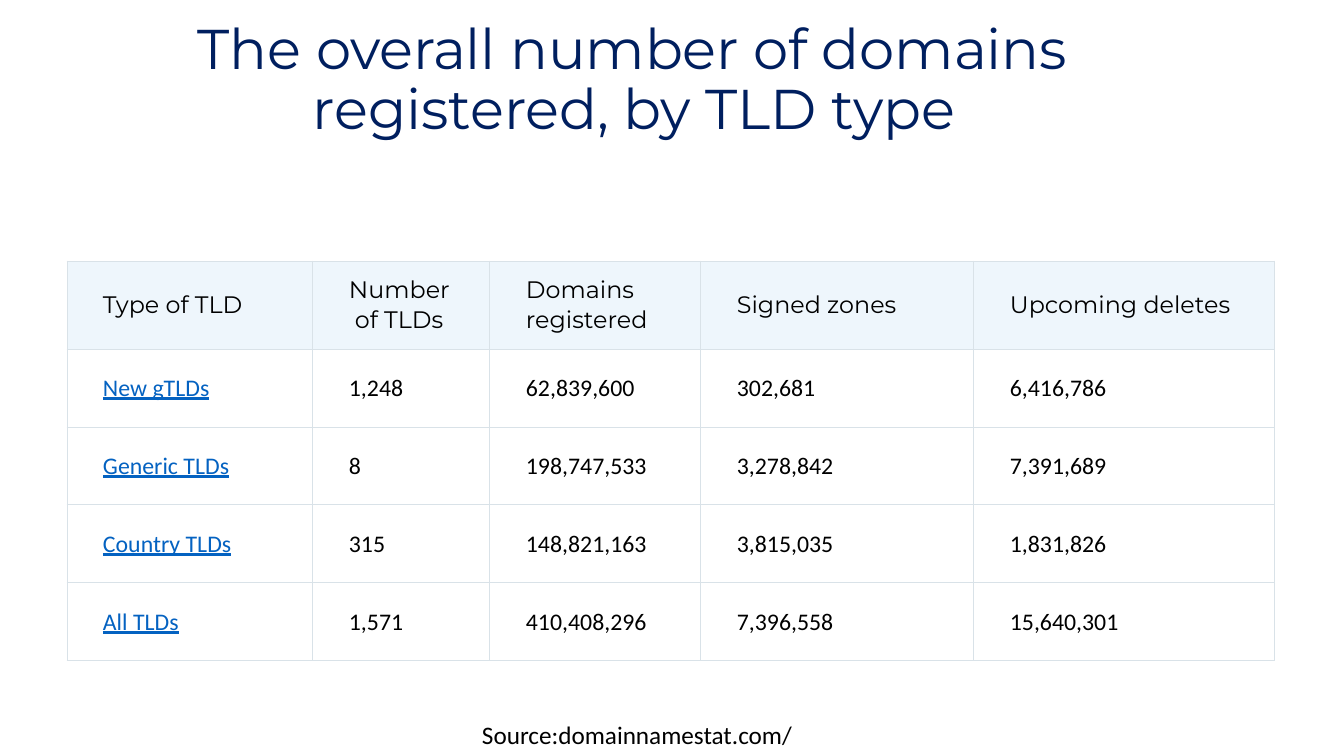
from lxml.etree import SubElement
from pptx import Presentation
from pptx.dml.color import RGBColor
from pptx.enum.text import MSO_ANCHOR
from pptx.oxml import parse_xml
from pptx.oxml.ns import nsdecls, qn
from pptx.util import Pt

EMU_PER_PX = 914400 / 100.8
NAVY = RGBColor(0x00, 0x1F, 0x5F)
BLACK = RGBColor(0x00, 0x00, 0x00)
WHITE = RGBColor(0xFF, 0xFF, 0xFF)
LINK_BLUE = RGBColor(0x04, 0x62, 0xC1)
HEADER_FILL = RGBColor(0xEE, 0xF6, 0xFC)
GRID = RGBColor(0xD9, 0xE2, 0xE8)
HEADING_FONT = "Montserrat"
BODY_FONT = "Calibri"

HEADINGS = ["Type of TLD", "Number\vof TLDs", "Domains\vregistered",
            "Signed zones", "Upcoming deletes"]
TLD_ROWS = [
    ["New gTLDs", "1,248", "62,839,600", "302,681", "6,416,786"],
    ["Generic TLDs", "8", "198,747,533", "3,278,842", "7,391,689"],
    ["Country TLDs", "315", "148,821,163", "3,815,035", "1,831,826"],
    ["All TLDs", "1,571", "410,408,296", "7,396,558", "15,640,301"],
]
COLUMN_WIDTHS = [246, 177, 211, 273, 301]
HEADER_HEIGHT, ROW_HEIGHT = 88, 78
CELL_INDENT = 36


def px(length):
    return round(length * EMU_PER_PX)


def write(frame, text, *, size, font=BODY_FONT, color=BLACK, underline=False,
          left=0, hanging=0, line_pt=None, spacing=0):
    """Fill a text frame; left and hanging are the indents in px."""
    paragraph = frame.paragraphs[0]
    paragraph.text = text
    properties = paragraph._p.get_or_add_pPr()
    properties.set("marL", str(px(left + hanging)))
    properties.set("indent", str(px(-hanging)))
    if line_pt:
        paragraph.line_spacing = Pt(line_pt)
    for run in paragraph.runs:
        run.font.size = Pt(size)
        run.font.name = font
        run.font.color.rgb = color
        run.font.underline = underline
        if spacing:
            run.font._element.set("spc", str(spacing))


class DomainSlide:
    def __init__(self, presentation):
        self.slide = presentation.slides.add_slide(presentation.slide_layouts[6])

    def text(self, text, x, y, width, height, inset_top=0, **style):
        box = self.slide.shapes.add_textbox(px(x), px(y), px(width), px(height))
        frame = box.text_frame
        frame.word_wrap = True
        frame.margin_left = frame.margin_right = frame.margin_bottom = 0
        frame.margin_top = px(inset_top)
        write(frame, text, **style)

    def table(self, x, y, widths, heights):
        table = self.slide.shapes.add_table(
            len(heights), len(widths), px(x), px(y),
            px(sum(widths)), px(sum(heights))).table
        table.horz_banding = False
        for column, width in zip(table.columns, widths):
            column.width = px(width)
        for row, height in zip(table.rows, heights):
            row.height = px(height)
        return table

    def cell(self, cell, text, fill, **style):
        cell.margin_left = cell.margin_right = 0
        cell.margin_top = cell.margin_bottom = 0
        cell.vertical_anchor = MSO_ANCHOR.MIDDLE
        cell.fill.solid()
        cell.fill.fore_color.rgb = fill
        self.borders(cell)
        write(cell.text_frame, text, size=17, left=CELL_INDENT, **style)

    def borders(self, cell):
        properties = cell._tc.get_or_add_tcPr()
        for position, side in enumerate(("lnL", "lnR", "lnT", "lnB")):
            line = parse_xml(f'<a:{side} {nsdecls("a")} w="{Pt(0.75)}"/>')
            solid = SubElement(line, qn("a:solidFill"))
            SubElement(solid, qn("a:srgbClr"), val=str(GRID))
            properties.insert(position, line)


def main():
    presentation = Presentation()
    presentation.slide_width = px(1344)
    presentation.slide_height = px(756)
    page = DomainSlide(presentation)

    # Title
    page.text("The overall number of domains\vregistered, by TLD type",
              197, 11, 951, 130, inset_top=9, size=40, font=HEADING_FONT,
              color=NAVY, left=1, hanging=115, line_pt=43.2, spacing=-7)

    # Table of domains by TLD type
    heights = [HEADER_HEIGHT] + [ROW_HEIGHT] * len(TLD_ROWS)
    domains = page.table(67, 261, COLUMN_WIDTHS, heights)
    for column, heading in enumerate(HEADINGS):
        page.cell(domains.cell(0, column), heading, HEADER_FILL,
                  font=HEADING_FONT, hanging=6 if column == 1 else 0)
    for row, values in enumerate(TLD_ROWS, start=1):
        for column, value in enumerate(values):
            is_link = column == 0
            page.cell(domains.cell(row, column), value, WHITE,
                      color=LINK_BLUE if is_link else BLACK, underline=is_link)

    # Source
    page.text("Source:domainnamestat.com/", 481, 718, 330, 33,
              inset_top=1, size=18, left=1)

    presentation.save("out.pptx")


if __name__ == "__main__":
    main()
